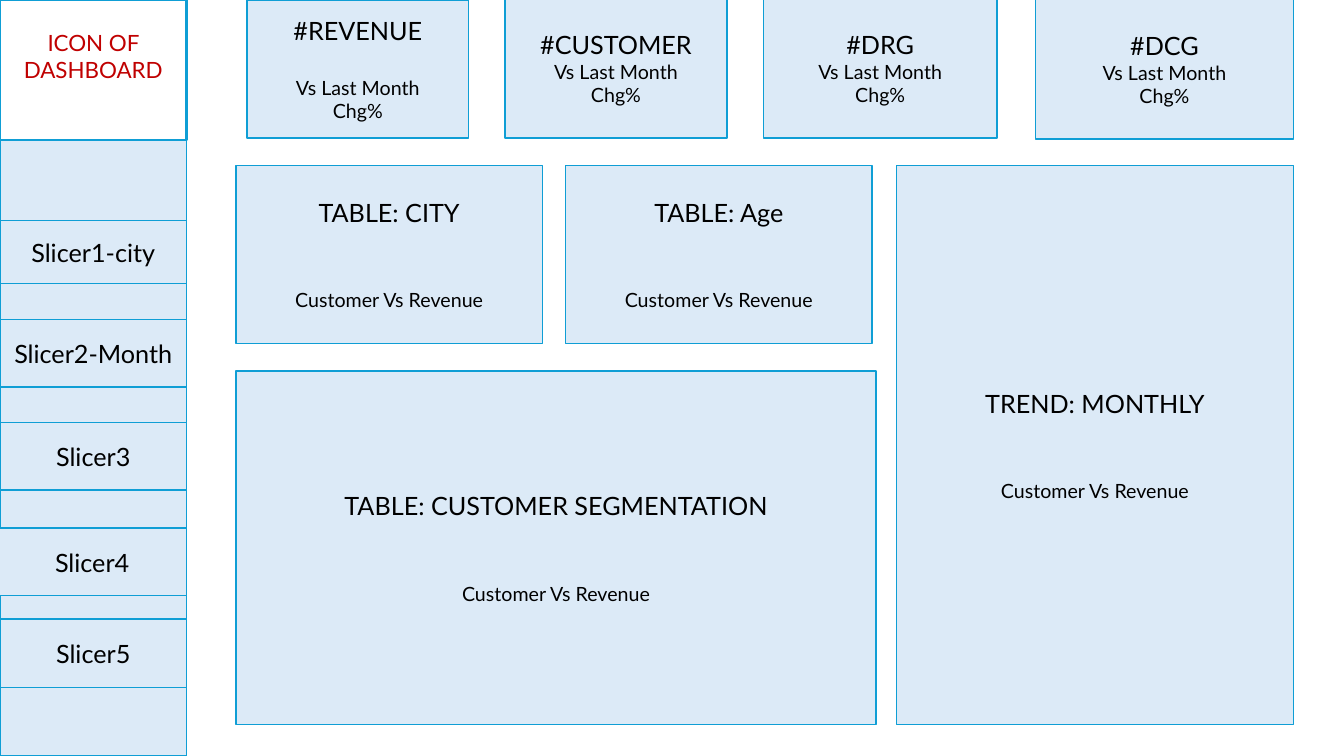
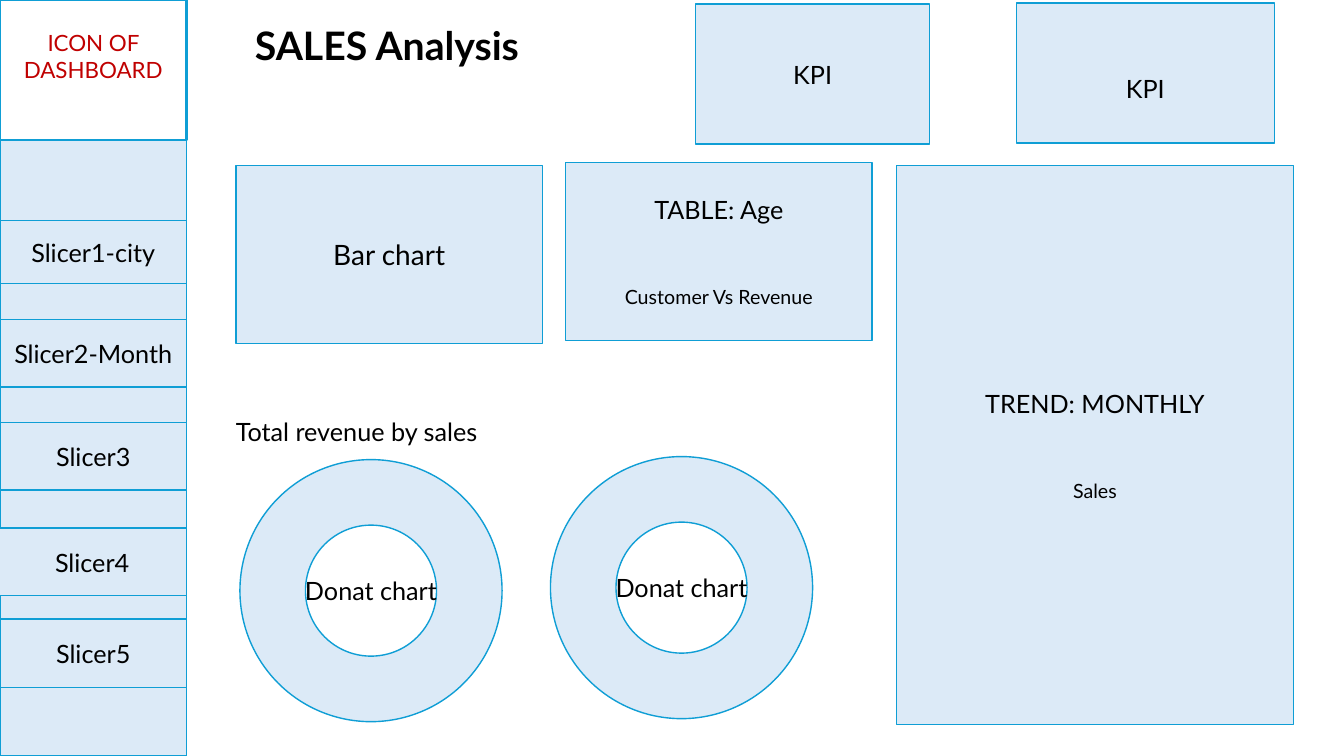
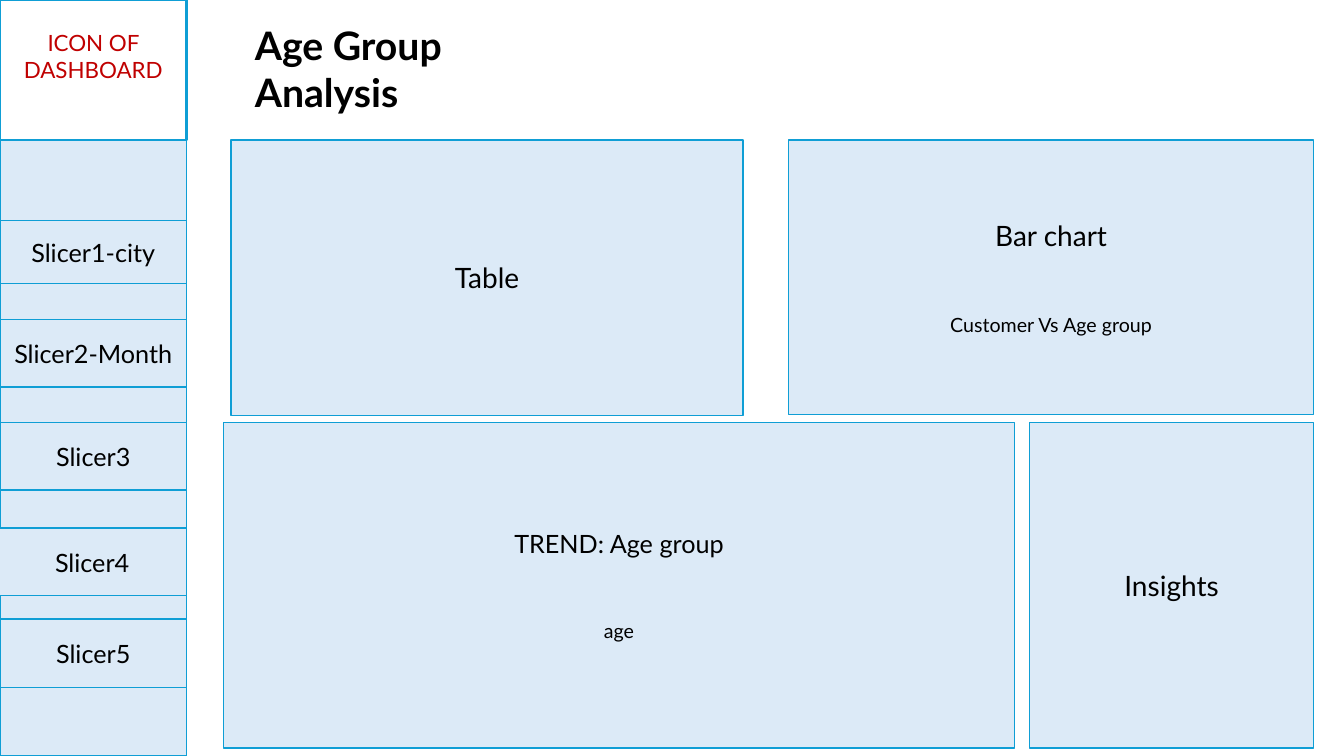
from dataclasses import dataclass

from pptx import Presentation
from pptx.dml.color import RGBColor
from pptx.enum.shapes import MSO_SHAPE as Preset
from pptx.enum.text import MSO_ANCHOR as Anchor, MSO_AUTO_SIZE as AutoSize, PP_ALIGN as Align
from pptx.util import Inches, Pt


@dataclass(frozen=True)
class Theme:
    font: str = "Lato"
    panel: str = "DCEAF7"
    outline: str = "0F9ED5"
    paper: str = "FFFFFF"
    ink: str = "000000"
    accent: str = "C00000"
    title: int = 28
    large: int = 20
    heading: int = 18
    icon: int = 16
    detail: int = 14
    line: float = 1
    icon_line: float = 1.5
    blank_line: float = 21.6


THEME = Theme()
COMPARISON = ("Customer Vs Revenue",)
CHANGE = ("Vs Last Month", "Chg%")
SLICERS = [
    ("Slicer1-city", 0, 2.19, 0.62),
    ("Slicer2-Month", 0, 3.17, 0.67),
    ("Slicer3", 0, 4.19, 0.67),
    ("Slicer4", -0.02, 5.24, 0.67),
    ("Slicer5", 0, 6.14, 0.68),
]


@dataclass(frozen=True)
class Box:
    left: float
    top: float
    width: float
    height: float

    def area(self, left, top, width, height):
        return Box(self.left + left, self.top + top, width, height)

    def lengths(self):
        return [Inches(value) for value in (self.left, self.top, self.width, self.height)]


SLIDE = Box(0, 0, 13.33, 7.5)
SIDEBAR = SLIDE.area(0, 0, 1.85, SLIDE.height)
TITLE = SLIDE.area(2.43, 0.16, 3.34, 0.57)
CONTENT = SLIDE.area(2.34, 1.64, 10.49, 5.55)


def write(frame, text, size=THEME.heading, color=THEME.ink, bold=False,
          align=Align.CENTER, space_before=0):
    first = frame.paragraphs[0]
    paragraph = frame.add_paragraph() if first.runs else first
    paragraph.alignment = align
    paragraph.space_before = Pt(space_before)
    run = paragraph.add_run()
    run.text = text
    run.font.name = THEME.font
    run.font.size = Pt(size)
    run.font.bold = bold
    run.font.color.rgb = RGBColor.from_string(color)


def add_block(slide, box, preset=Preset.RECTANGLE, fill=THEME.panel, line=THEME.line):
    shape = slide.shapes.add_shape(preset, *box.lengths())
    shape.shadow.inherit = False
    shape.fill.solid()
    shape.fill.fore_color.rgb = RGBColor.from_string(fill)
    shape.line.color.rgb = RGBColor.from_string(THEME.outline)
    shape.line.width = Pt(line)
    frame = shape.text_frame
    frame.word_wrap = True
    frame.vertical_anchor = Anchor.MIDDLE
    return frame


def add_panel(slide, box, heading, details=(), size=THEME.heading, blank_lines=2,
              preset=Preset.RECTANGLE):
    frame = add_block(slide, box, preset)
    write(frame, heading, size=size)
    for index, detail in enumerate(details):
        gap = 0 if index else blank_lines * THEME.blank_line
        write(frame, detail, size=THEME.detail, space_before=gap)
    return frame


def add_label(slide, box, text, **style):
    frame = slide.shapes.add_textbox(*box.lengths()).text_frame
    frame.word_wrap = True
    frame.auto_size = AutoSize.SHAPE_TO_FIT_TEXT
    write(frame, text, align=Align.LEFT, **style)


def add_sidebar(slide, box):
    add_block(slide, box)
    icon = add_block(slide, box.area(0, 0, box.width, 1.39), fill=THEME.paper,
                     line=THEME.icon_line)
    icon.margin_bottom = Inches(0.32)
    write(icon, "ICON OF DASHBOARD", size=THEME.icon, color=THEME.accent)
    for name, left, top, height in SLICERS:
        add_panel(slide, box.area(left, top, box.width - left, height), name)


def add_trend(slide, box, details):
    add_panel(slide, box.area(6.55, 0, 3.94, box.height), "TREND: MONTHLY", details)


def start_slide(presentation, title=None, title_height=TITLE.height):
    slide = presentation.slides.add_slide(presentation.slide_layouts[6])
    add_sidebar(slide, SIDEBAR)
    if title:
        add_label(slide, TITLE.area(0, 0, TITLE.width, title_height), title,
                  size=THEME.title, bold=True)
    return slide


def add_indicators(slide, box):
    indicators = [
        ("#REVENUE", 0, 0, 2.2, 1.37, 1),
        ("#CUSTOMER", 2.56, -0.02, 2.2, 1.39, 0),
        ("#DRG", 5.12, -0.02, 2.32, 1.39, 0),
        ("#DCG", 7.82, -0.01, 2.56, 1.39, 0),
    ]
    for name, left, top, width, height, blank_lines in indicators:
        add_panel(slide, box.area(left, top, width, height), name, CHANGE,
                  blank_lines=blank_lines)


def build_overview(presentation, box):
    slide = start_slide(presentation)
    add_indicators(slide, SLIDE.area(2.45, 0, 10.38, 1.39))
    add_panel(slide, box.area(0, 0, 3.04, 1.77), "TABLE: CITY", COMPARISON)
    add_panel(slide, box.area(3.27, 0, 3.04, 1.77), "TABLE: Age", COMPARISON)
    add_panel(slide, box.area(0, 2.04, 6.35, 3.51), "TABLE: CUSTOMER SEGMENTATION",
              COMPARISON)
    add_trend(slide, box, COMPARISON)


def build_sales(presentation, box):
    slide = start_slide(presentation, "SALES Analysis")
    add_panel(slide, SLIDE.area(6.9, 0.04, 2.32, 1.39), "KPI")
    lowered = add_panel(slide, SLIDE.area(10.08, 0.03, 2.56, 1.39), "KPI")
    lowered.margin_top = Inches(0.35)
    add_panel(slide, box.area(0, 0, 3.04, 1.77), "Bar chart", size=THEME.large)
    add_panel(slide, box.area(3.27, -0.03, 3.04, 1.77), "TABLE: Age", COMPARISON)
    add_trend(slide, box, ("Sales",))
    add_label(slide, box.area(-0.1, 2.44, 4.82, 0.4), "Total revenue by sales")
    for left, top in ((0.04, 2.92), (3.12, 2.89)):
        add_panel(slide, box.area(left, top, 2.6, 2.6), "Donat chart", preset=Preset.DONUT)


def build_age_groups(presentation, box):
    slide = start_slide(presentation, "Age Group Analysis", title_height=1.04)
    add_panel(slide, box.area(0.07, 0, 5.08, 2.73), "Table", size=THEME.large)
    add_panel(slide, box.area(5.6, 0, 5.21, 2.72), "Bar chart",
              ("Customer Vs Age group",), size=THEME.large)
    add_panel(slide, box.area(0, 2.8, 7.84, 3.23), "TREND: Age group", ("age",))
    add_panel(slide, box.area(7.99, 2.8, 2.82, 3.23), "Insights", size=THEME.large)


def main():
    presentation = Presentation()
    presentation.slide_width = Inches(SLIDE.width)
    presentation.slide_height = Inches(SLIDE.height)
    build_overview(presentation, CONTENT)
    build_sales(presentation, CONTENT)
    build_age_groups(presentation, SLIDE.area(2.22, 1.39, 10.81, 6.03))
    presentation.save("out.pptx")


if __name__ == "__main__":
    main()
